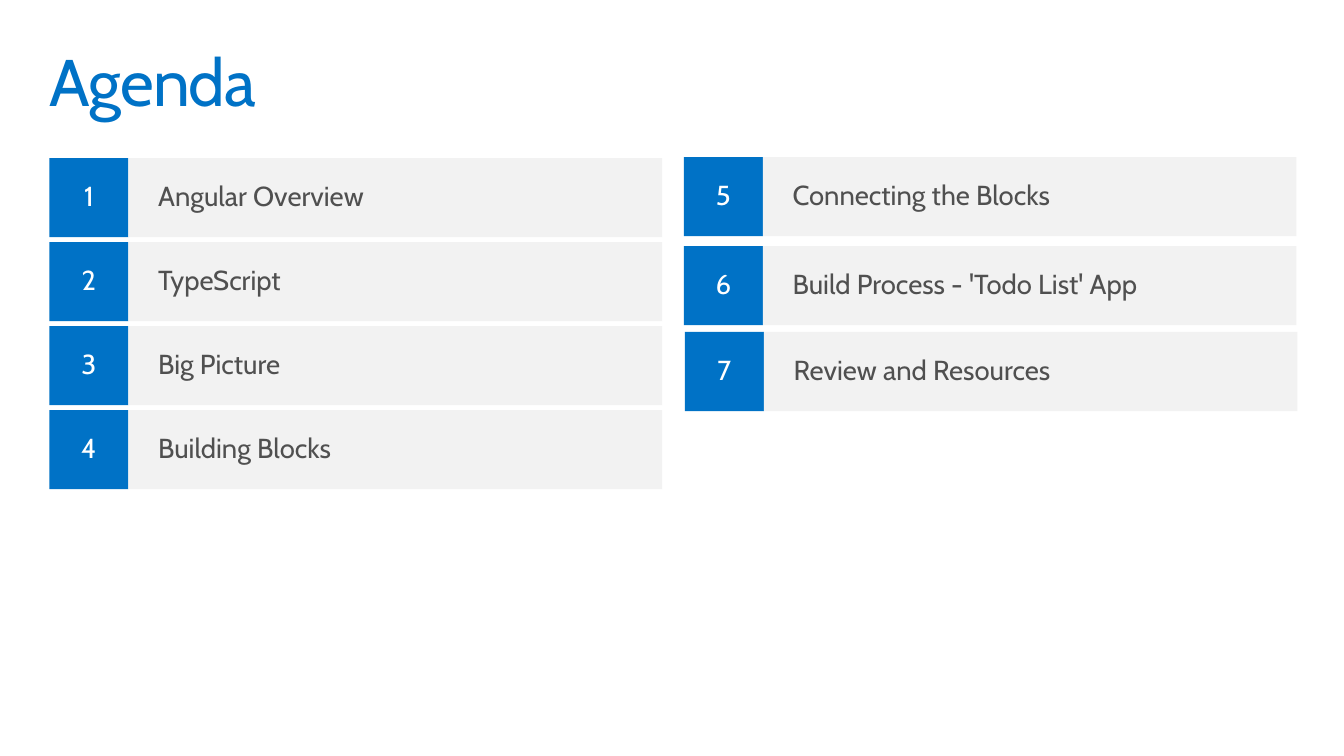
from pptx import Presentation
from pptx.dml.color import RGBColor
from pptx.enum.shapes import MSO_SHAPE
from pptx.enum.text import MSO_ANCHOR, MSO_AUTO_SIZE, PP_ALIGN
from pptx.util import Emu, Pt

RECTANGLE = MSO_SHAPE.RECTANGLE
TOP, MIDDLE = MSO_ANCHOR.TOP, MSO_ANCHOR.MIDDLE
NO_AUTOFIT = MSO_AUTO_SIZE.NONE
LEFT, CENTER = PP_ALIGN.LEFT, PP_ALIGN.CENTER

EMU_PER_PX = 9144
SLIDE_WIDTH, SLIDE_HEIGHT = 1360, 765
TITLE_ONLY = 5
ROW_HEIGHT = NUMBER_WIDTH = 80
TOPIC_WIDTH = 540
ROW_STEP = 85

LEFT_TOPICS = ["Angular Overview", "TypeScript", "Big Picture", "Building Blocks"]
RIGHT_TOPICS = [
    ("Connecting the Blocks", 692, 159),
    ("Build Process - 'Todo List' App", 692, 249),
    ("Review and Resources", 693, 336),
]


def px(length):
    return Emu(length * EMU_PER_PX)


def color(hex_code):
    return RGBColor.from_string(hex_code)


def apply(target, values):
    for name, value in values.items():
        setattr(target, name, value)


class AgendaSlide:
    FONT = "Cabin"
    BLUE, GRAY, WHITE, TEXT = "0072C6", "F2F2F2", "FFFFFF", "505050"

    def __init__(self, presentation):
        self.slide = presentation.slides.add_slide(
            presentation.slide_layouts[TITLE_ONLY])

    def label(self, shape, text, size, ink, align, anchor, inset_x, inset_y):
        frame = shape.text_frame
        apply(frame, {
            "word_wrap": True, "auto_size": NO_AUTOFIT, "vertical_anchor": anchor,
            "margin_left": px(inset_x), "margin_right": px(inset_x),
            "margin_top": px(inset_y), "margin_bottom": px(inset_y),
        })
        paragraph = frame.paragraphs[0]
        apply(paragraph, {"alignment": align, "line_spacing": 0.9})
        run = paragraph.add_run()
        run.text = text
        apply(run.font, {"name": self.FONT, "size": Pt(size)})
        run.font.color.rgb = color(ink)
        return run

    def title(self, text, left, top, width, height):
        heading = self.slide.shapes.title
        apply(heading, {"left": px(left), "top": px(top),
                        "width": px(width), "height": px(height)})
        run = self.label(heading, text, 48, self.BLUE, LEFT, TOP, 10, 10)
        run._r.get_or_add_rPr().set("spc", "-70")

    def box(self, left, top, width, fill):
        shape = self.slide.shapes.add_shape(
            RECTANGLE, px(left), px(top), px(width), px(ROW_HEIGHT))
        shape.shadow.inherit = False
        shape.fill.solid()
        shape.fill.fore_color.rgb = color(fill)
        shape.line.fill.background()
        return shape

    def item(self, number, topic, left, top):
        number_box = self.box(left, top, NUMBER_WIDTH, self.BLUE)
        self.label(number_box, str(number), 20, self.WHITE, CENTER, MIDDLE, 20, 16)
        topic_box = self.box(left + NUMBER_WIDTH, top, TOPIC_WIDTH, self.GRAY)
        self.label(topic_box, topic, 20, self.TEXT, LEFT, MIDDLE, 30, 10)


def main():
    presentation = Presentation()
    apply(presentation, {"slide_width": px(SLIDE_WIDTH),
                         "slide_height": px(SLIDE_HEIGHT)})
    agenda = AgendaSlide(presentation)
    agenda.title("Agenda", 40, 40, 1280, 100)
    left_items = [(topic, 50, 160 + row * ROW_STEP)
                  for row, topic in enumerate(LEFT_TOPICS)]
    for number, (topic, left, top) in enumerate(left_items + RIGHT_TOPICS, start=1):
        agenda.item(number, topic, left, top)
    presentation.save("out.pptx")


if __name__ == "__main__":
    main()
